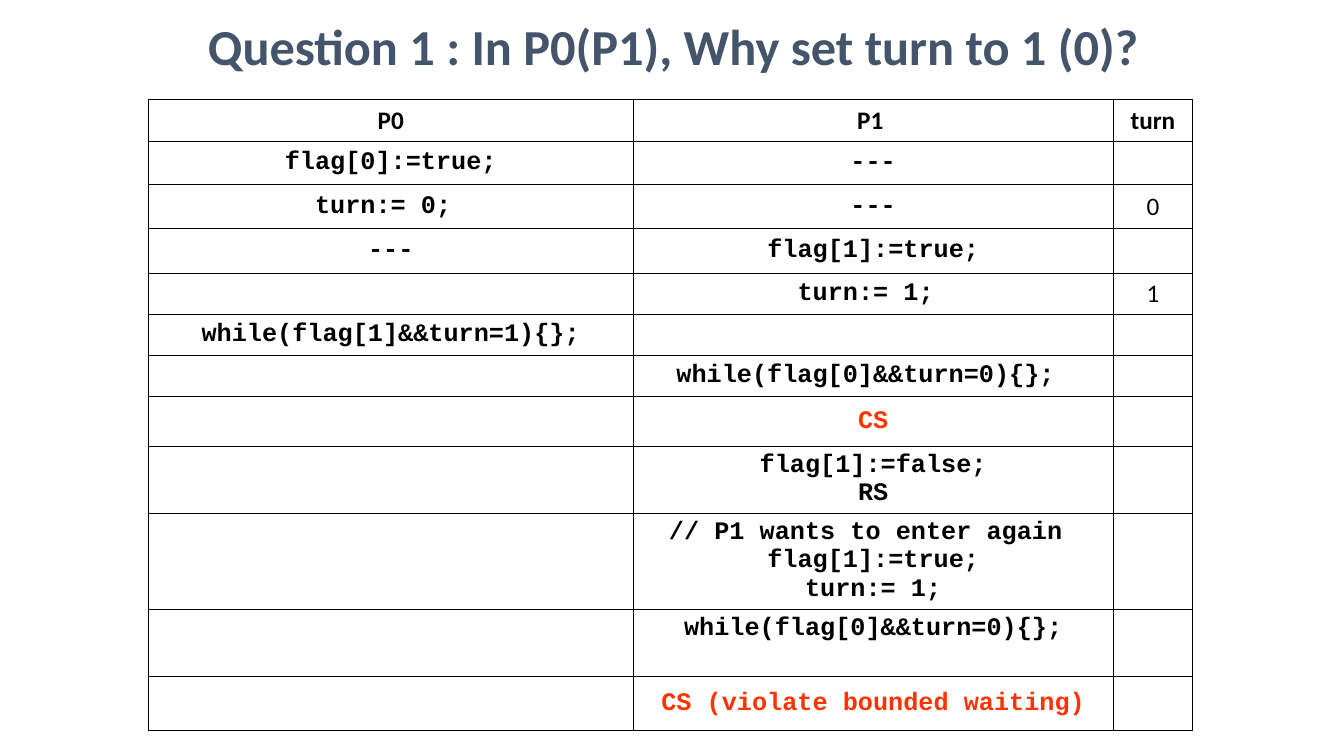
import dataclasses
import pptx
import pptx.util
import pptx.dml.color
import pptx.enum.text
import lxml.etree

PX = 9144  # one px is a hundredth of an inch
ALIGN = pptx.enum.text.PP_ALIGN
ANCHOR = pptx.enum.text.MSO_ANCHOR
NS = "http://schemas.openxmlformats.org/drawingml/2006/main"


@dataclasses.dataclass(frozen=True)
class Theme:
    ink: str = "000000"
    title: str = "44546A"
    alert: str = "FF3300"
    sans: str = "Calibri"
    mono: str = "Courier New"
    head: int = 36
    body: int = 18
    rule: float = 0.75


def write(frame, text, font, size, color, bold=True, space=None):
    """Fill a text frame, one centred paragraph for each line of text."""
    for i, line in enumerate(text.split("\n")):
        para = frame.paragraphs[0] if i == 0 else frame.add_paragraph()
        para.alignment = ALIGN.CENTER
        para.line_spacing = space
        run = para.add_run()
        run.text = line
        run.font.name = font
        run.font.size = pptx.util.Pt(size)
        run.font.bold = bold
        run.font.color.rgb = pptx.dml.color.RGBColor.from_string(color)


class Deck:
    def __init__(self, theme, wide, high):
        self.theme = theme
        self.file = pptx.Presentation()
        self.file.slide_width = wide * PX
        self.file.slide_height = high * PX
        self.slide = self.file.slides.add_slide(self.file.slide_layouts[6])

    def title(self, text, box, below):
        """Add the heading, keeping the given px free below it."""
        shape = self.slide.shapes.add_textbox(*(n * PX for n in box))
        frame = shape.text_frame
        frame.word_wrap = True
        frame.vertical_anchor = ANCHOR.MIDDLE
        frame.margin_top = 0
        frame.margin_bottom = below * PX
        write(frame, text, self.theme.sans, self.theme.head,
              self.theme.title, space=1.1)

    def border(self, cell):
        props = cell._tc.get_or_add_tcPr()
        for i, side in enumerate("LRTB"):
            line = lxml.etree.Element(f"{{{NS}}}ln{side}")
            line.set("w", str(int(pptx.util.Pt(self.theme.rule))))
            fill = lxml.etree.SubElement(line, f"{{{NS}}}solidFill")
            lxml.etree.SubElement(fill, f"{{{NS}}}srgbClr", val=self.theme.ink)
            props.insert(i, line)

    def table(self, left, top, cols, rows, data):
        """Add a ruled table: a sans header and last column, code elsewhere."""
        shape = self.slide.shapes.add_table(
            len(rows), len(cols), left * PX, top * PX,
            sum(cols) * PX, sum(rows) * PX)
        grid = shape.table
        grid.first_row = grid.horz_banding = False
        for col, wide in zip(grid.columns, cols):
            col.width = wide * PX
        for row, high in zip(grid.rows, rows):
            row.height = high * PX
        for r, line in enumerate(data):
            for c, text in enumerate(line):
                cell = grid.cell(r, c)
                cell.fill.background()
                self.border(cell)
                cell.vertical_anchor = ANCHOR.MIDDLE
                if text:
                    last = c == len(cols) - 1
                    plain = r == 0 or last
                    write(cell.text_frame, text,
                          self.theme.sans if plain else self.theme.mono,
                          self.theme.body,
                          self.theme.alert if text.startswith("CS")
                          else self.theme.ink,
                          bold=r == 0 or not last)
        return grid


STEPS = [
    ("P0", "P1 ", "turn"),
    ("flag[0]:=true;", "---", ""),
    ("turn:= 0; ", "---", "0"),
    ("---", "flag[1]:=true;", ""),
    ("", "turn:= 1; ", "1"),
    ("while(flag[1]&&turn=1){};", "", ""),
    ("", "while(flag[0]&&turn=0){}; ", ""),
    ("", "CS", ""),
    ("", "flag[1]:=false;\nRS", ""),
    ("", "// P1 wants to enter again \nflag[1]:=true;\nturn:= 1;", ""),
    ("", "while(flag[0]&&turn=0){};", ""),
    ("", "CS (violate bounded waiting)", ""),
]
HIGH = [41, 43, 44, 44, 41, 40, 41, 49, 66, 95, 67, 53]


def main():
    deck = Deck(Theme(), 1333, 750)
    grid = deck.table(147, 99, [481, 476, 79], HIGH, STEPS)
    grid.cell(10, 1).vertical_anchor = ANCHOR.TOP
    deck.title("Question 1 : In P0(P1), Why set turn to 1 (0)?",
               (68, 13, 1200, 125), below=67)
    deck.file.save("out.pptx")


if __name__ == "__main__":
    main()
